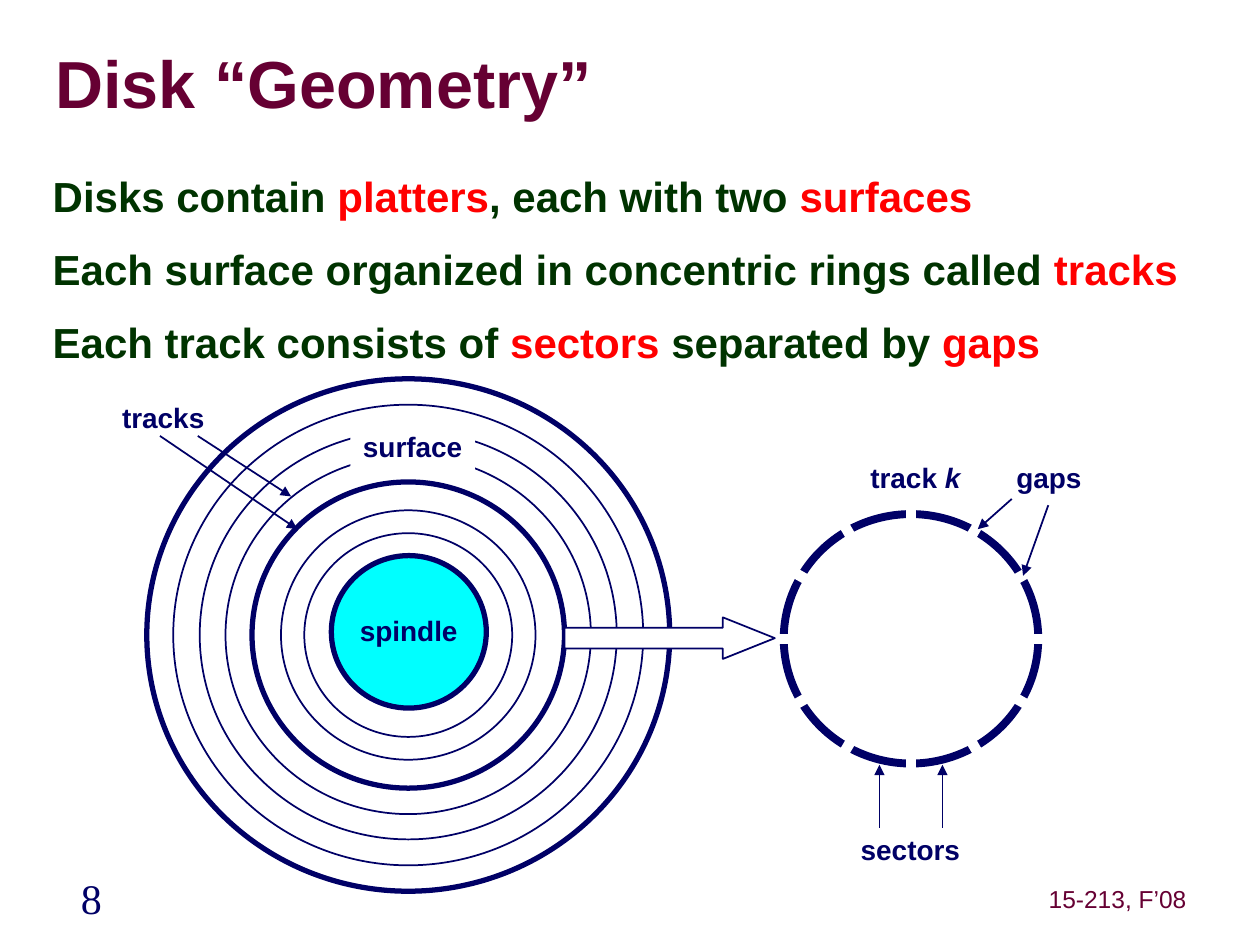
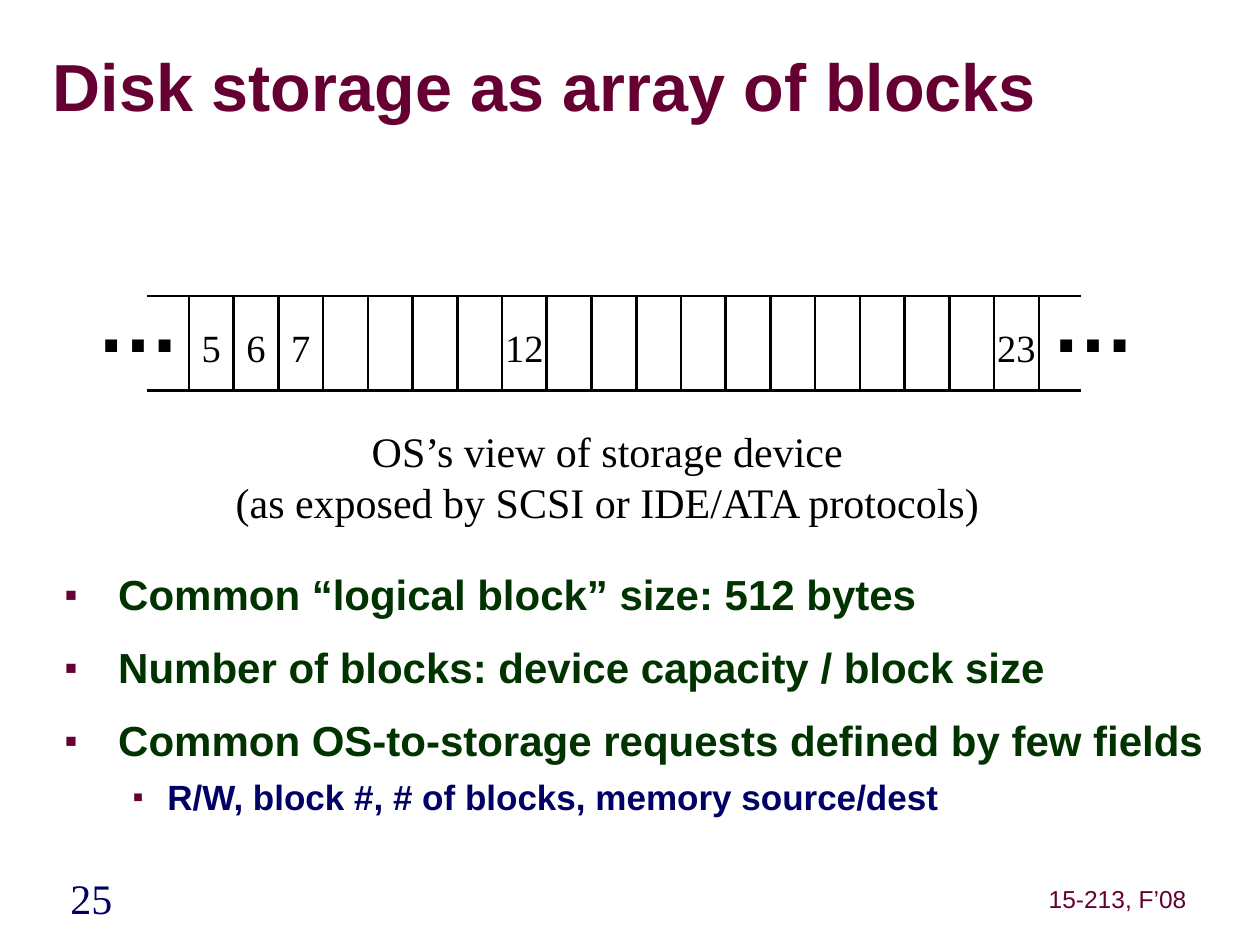
"""Two lecture slides on disk geometry and on the disk as an array of blocks."""
from dataclasses import dataclass
from math import cos, radians, sin

from lxml import etree
from pptx import Presentation
from pptx import util as u
from pptx.dml.color import RGBColor
from pptx.enum import shapes, text
from pptx.oxml.ns import qn

I, Pt = u.Inches, u.Pt
LEFT, CENTER = text.PP_ALIGN.LEFT, text.PP_ALIGN.CENTER
TOP, MIDDLE = text.MSO_ANCHOR.TOP, text.MSO_ANCHOR.MIDDLE


@dataclass(frozen=True)
class Style:
    """Type, colour and spacing of one kind of text."""
    size: float
    color: str
    name: str = "Arial"
    bold: bool = False
    align: int = LEFT
    spacing: float = 1.0
    before: float = 0
    bullet_indent: tuple = ()
    level: int = 0


class Theme:
    """Colours and text styles shared by the slides."""
    navy, maroon, green = "000066", "660033", "003300"
    red, cyan, white, black = "FF0000", "00FFFF", "FFFFFF", "000000"
    serif = "Times New Roman"
    title = Style(38, maroon, bold=True, spacing=0.85)
    page = Style(24, navy, serif, align=CENTER, spacing=0.83)
    course = Style(14, maroon, align=CENTER, spacing=0.88)
    statement = Style(24, green, bold=True, spacing=0.93, before=15)
    point = Style(24, green, bold=True, spacing=0.93, before=15, bullet_indent=(0.42, -0.42))
    detail = Style(20, navy, bold=True, spacing=0.98, before=6.2, bullet_indent=(0.81, -0.27), level=1)
    label = Style(16, navy, bold=True, align=CENTER, spacing=0.98)
    caption = Style(24, black, serif, align=CENTER)
    block = Style(22, black, serif, align=CENTER)
    ellipsis = Style(48, black, bold=True)


COURSE = "15-213, F’08"

GEOMETRY = {
    "title": "Disk “Geometry”", "title_at": (0.44, 0.27, 9.53, 0.86), "page": "8",
    "statements": [
        ["Disks contain ", ("platters",), ", each with two ", ("surfaces",)],
        ["Each surface organized in concentric rings called ", ("tracks",)],
        ["Each track consists of ", ("sectors",), " separated by ", ("gaps",)],
    ],
}
SURFACE_CENTER, ROUNDNESS = (3.24, 5.04), 0.98
TRACK_RINGS = [(4.15, 3), (3.73, 1), (3.31, 1), (2.9, 1), (2.48, 3), (2.02, 1), (1.65, 1)]
SPINDLE = (2.63, 4.41, 1.23, 1.21)
TRACK_K_CENTER, TRACK_K_SIZE, GAP_REACH, GAP_COUNT = (7.23, 5.07), (2.02, 1.98), (1.17, 1.15), 12
LABELS = [
    ("tracks", (0.87, 3.14, 0.85, 0.36)),
    ("sectors", (6.73, 6.57, 0.99, 0.36)),
    ("gaps", (7.97, 3.62, 0.71, 0.36)),
]
TRACK_K_AT, SURFACE_AT = (6.81, 3.62, 0.91, 0.36), (2.78, 3.37, 0.99, 0.36)
POINTERS = [
    ((1.27, 3.46), (2.36, 4.2)), ((1.57, 3.46), (2.31, 3.94)),
    ((6.98, 6.57), (6.98, 6.07)), ((7.48, 6.57), (7.48, 6.07)),
    ((8.03, 3.96), (7.76, 4.2)), ((8.32, 4.01), (8.12, 4.57)),
]

BLOCKS = {
    "title": "Disk storage as array of blocks", "title_at": (0.42, 0.32, 9.17, 0.81), "page": "25",
    "caption": ["OS’s view of storage device", "(as exposed by SCSI or IDE/ATA protocols)"],
    "points": [
        ("Common “logical block” size: 512 bytes", Theme.point),
        ("Number of blocks: device capacity / block size", Theme.point),
        ("Common OS-to-storage requests defined by few fields", Theme.point),
        ("R/W, block #, # of blocks, memory source/dest", Theme.detail),
    ],
}
NUMBERED_BLOCKS, FIRST_BLOCK, DIVIDERS = (5, 6, 7, 12, 23), 5, 20
ARRAY_LEFT, ARRAY_RIGHT, ARRAY_TOP, ARRAY_BOTTOM = 1.17, 8.58, 2.35, 3.1
FIRST_DIVIDER, BLOCK_WIDTH, NUMBER_WIDTH = 1.5, 0.355, 0.5
ELLIPSIS_LEFTS = (0.67, 8.25)
TIGHT = {"insets": (0, 0.05), "grow": False}


def assign(target, values):
    """Set each named attribute of the target."""
    for name, value in values.items():
        setattr(target, name, value)


def inches(lengths):
    """Turn numbers into lengths."""
    return [I(length) for length in lengths]


def add_bullet(paragraph, indent):
    """Give a paragraph a small square bullet and a hanging indent."""
    props = paragraph._p.get_or_add_pPr()
    props.set("marL", str(I(indent[0])))
    props.set("indent", str(I(indent[1])))
    color = etree.SubElement(props, qn("a:buClr"))
    etree.SubElement(color, qn("a:srgbClr"), val=Theme.maroon)
    etree.SubElement(props, qn("a:buSzPct"), val="45000")
    etree.SubElement(props, qn("a:buFont"), typeface="Arial")
    etree.SubElement(props, qn("a:buChar"), char="■")


def write(frame, lines, anchor=TOP, insets=(0.1, 0.05), wrap=False, grow=True):
    """Fill a frame with (runs, style) lines; a tuple run is highlighted."""
    size_rule = text.MSO_AUTO_SIZE.SHAPE_TO_FIT_TEXT if grow else text.MSO_AUTO_SIZE.NONE
    side, edge = inches(insets)
    assign(frame, {"word_wrap": wrap, "auto_size": size_rule, "vertical_anchor": anchor,
                   "margin_left": side, "margin_right": side,
                   "margin_top": edge, "margin_bottom": edge})
    for index, (runs, style) in enumerate(lines):
        paragraph = frame.add_paragraph() if index else frame.paragraphs[0]
        if style.bullet_indent:
            add_bullet(paragraph, style.bullet_indent)
        assign(paragraph, {"alignment": style.align, "line_spacing": style.spacing, "level": style.level,
                           "space_before": Pt(style.before if index else 0)})
        for words in [runs] if isinstance(runs, str) else runs:
            marked = isinstance(words, tuple)
            run = paragraph.add_run()
            run.text = words[0] if marked else words
            assign(run.font, {"size": Pt(style.size), "name": style.name, "bold": style.bold})
            run.font.color.rgb = RGBColor.from_string(Theme.red if marked else style.color)


def add_text(slide, at, lines, **layout):
    """Place a text box."""
    box = slide.shapes.add_textbox(*inches(at))
    write(box.text_frame, lines, **layout)
    return box


def add_figure(slide, kind, at, fill=None, line=Theme.navy, width=1):
    """Place a preset shape."""
    figure = slide.shapes.add_shape(kind, *inches(at))
    figure.shadow.inherit = False
    if fill:
        figure.fill.solid()
        figure.fill.fore_color.rgb = RGBColor.from_string(fill)
    else:
        figure.fill.background()
    if line:
        figure.line.color.rgb = RGBColor.from_string(line)
        figure.line.width = Pt(width)
    else:
        figure.line.fill.background()
    return figure


def add_oval(slide, center, size, **look):
    """Place an ellipse around a center."""
    corner = [middle - length / 2 for middle, length in zip(center, size)]
    return add_figure(slide, shapes.MSO_SHAPE.OVAL, (*corner, *size), **look)


def add_line(slide, start, end, color, width, arrow=False):
    """Draw a straight line, with an arrowhead at its end if asked."""
    line = slide.shapes.add_connector(shapes.MSO_CONNECTOR.STRAIGHT, *inches((*start, *end)))
    line.line.color.rgb = RGBColor.from_string(color)
    line.line.width = Pt(width)
    if arrow:
        etree.SubElement(line.line._get_or_add_ln(), qn("a:tailEnd"), type="triangle")
    etree.SubElement(line._element.spPr, qn("a:effectLst"))


def start_slide(deck, content):
    """Add a slide with its title, page number and course footer."""
    slide = deck.slides.add_slide(deck.slide_layouts[5])
    title = slide.shapes.title
    assign(title, dict(zip(("left", "top", "width", "height"), inches(content["title_at"]))))
    write(title.text_frame, [(content["title"], Theme.title)], MIDDLE, (0, 0), wrap=True, grow=False)
    for words, style, at in ((content["page"], Theme.page, (-0.02, 6.94, 1.49, 0.43)),
                             (COURSE, Theme.course, (8.27, 6.99, 1.2, 0.31))):
        add_text(slide, at, [(words, style)], anchor=MIDDLE, insets=(0.05, 0.05))
    return slide


def build_geometry(deck):
    """Draw the platter surface and one track split into sectors."""
    slide = start_slide(deck, GEOMETRY)
    add_text(slide, (0.32, 1.34, 9.43, 1.7),
             [(runs, Theme.statement) for runs in GEOMETRY["statements"]], wrap=True, grow=False)

    for diameter, width in TRACK_RINGS:
        add_oval(slide, SURFACE_CENTER, (diameter, diameter * ROUNDNESS), width=width)
    spindle = add_figure(slide, shapes.MSO_SHAPE.OVAL, SPINDLE, fill=Theme.cyan, width=3)
    write(spindle.text_frame, [("spindle", Theme.label)], MIDDLE, grow=False)
    surface = add_figure(slide, shapes.MSO_SHAPE.RECTANGLE, SURFACE_AT, fill=Theme.white, line=None)
    write(surface.text_frame, [("surface", Theme.label)], **TIGHT)

    add_oval(slide, TRACK_K_CENTER, TRACK_K_SIZE, width=4.5)
    for gap in range(GAP_COUNT):
        angle = radians(360 / GAP_COUNT * gap)
        reach = (GAP_REACH[0] * cos(angle), GAP_REACH[1] * sin(angle))
        end = [middle + offset for middle, offset in zip(TRACK_K_CENTER, reach)]
        add_line(slide, TRACK_K_CENTER, end, Theme.white, 6)

    track_to_k = add_figure(slide, shapes.MSO_SHAPE.RIGHT_ARROW, (4.48, 4.9, 1.67, 0.33), fill=Theme.white)
    track_to_k.adjustments[0], track_to_k.adjustments[1] = 0.5, 1.25

    for words, at in LABELS:
        add_text(slide, at, [(words, Theme.label)], anchor=MIDDLE, **TIGHT)
    track_k = add_text(slide, TRACK_K_AT, [(["track ", "k"], Theme.label)], **TIGHT)
    track_k.text_frame.paragraphs[0].runs[1].font.italic = True
    for start, end in POINTERS:
        add_line(slide, start, end, Theme.navy, 1, arrow=True)


def build_blocks(deck):
    """Draw the array of numbered blocks and its notes."""
    slide = start_slide(deck, BLOCKS)
    add_text(slide, (1.73, 3.33, 6.18, 0.9), [(line, Theme.caption) for line in BLOCKS["caption"]])
    add_text(slide, (0.42, 4.5, 9.33, 2.17), BLOCKS["points"], wrap=True, grow=False)

    for y in (ARRAY_TOP, ARRAY_BOTTOM):
        add_line(slide, (ARRAY_LEFT, y), (ARRAY_RIGHT, y), Theme.black, 1.5)
    for divider in range(DIVIDERS):
        x = FIRST_DIVIDER + divider * BLOCK_WIDTH
        add_line(slide, (x, ARRAY_TOP), (x, ARRAY_BOTTOM), Theme.black, 1.5)
    for number in NUMBERED_BLOCKS:
        middle = FIRST_DIVIDER + (number - FIRST_BLOCK + 0.5) * BLOCK_WIDTH
        add_text(slide, (middle - NUMBER_WIDTH / 2, 2.52, NUMBER_WIDTH, 0.47),
                 [(str(number), Theme.block)], **TIGHT)
    for x in ELLIPSIS_LEFTS:
        add_text(slide, (x, 2.08, 0.87, 0.9), [("…", Theme.ellipsis)], wrap=True)


def main():
    """Build and save the deck."""
    deck = Presentation()
    assign(deck, {"slide_width": I(10), "slide_height": I(7.5)})
    build_geometry(deck)
    build_blocks(deck)
    deck.save("out.pptx")


if __name__ == "__main__":
    main()
